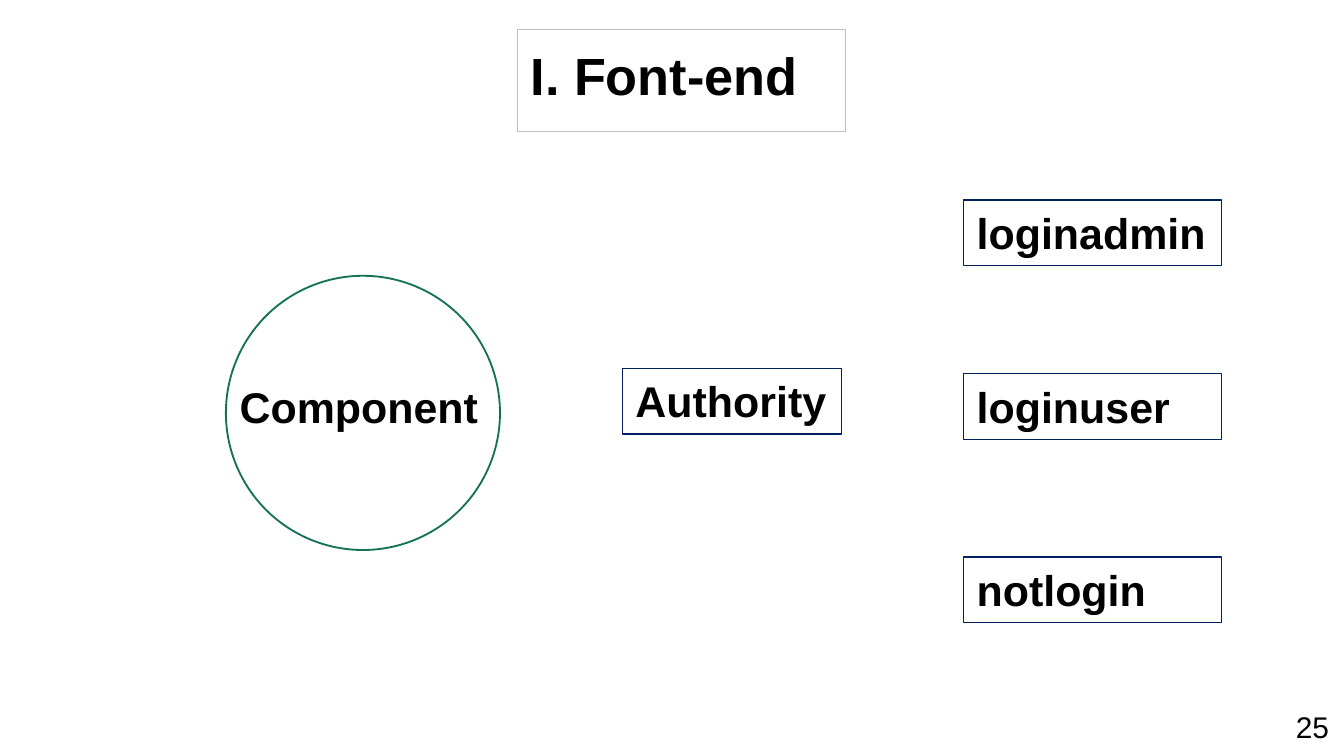
import pptx
import pptx.dml.color
import pptx.enum.shapes
import pptx.enum.text
import pptx.util

Cm = pptx.util.Cm
Pt = pptx.util.Pt
Shape = pptx.enum.shapes.MSO_SHAPE
Align = pptx.enum.text.PP_ALIGN
Anchor = pptx.enum.text.MSO_ANCHOR
AutoSize = pptx.enum.text.MSO_AUTO_SIZE

COLOURS = {"text": "000000", "navy": "002060", "green": "157259", "grey": "BFBFBF"}


def apply_format(target, values):
    for name, value in values.items():
        setattr(target, name, value)


class Designer:
    font_name = "Arial"

    def __init__(self, page):
        self.page = page

    def colour(self, name):
        return pptx.dml.color.RGBColor.from_string(COLOURS[name])

    def fill_text(self, box, text, size, bold=True, align=Align.LEFT, frame_format=None):
        frame = box.text_frame
        apply_format(frame, {
            "word_wrap": True,
            "vertical_anchor": Anchor.TOP,
            "auto_size": AutoSize.SHAPE_TO_FIT_TEXT,
            **(frame_format or {}),
        })
        para = frame.paragraphs[0]
        para.alignment = align
        span = para.add_run()
        span.text = text
        apply_format(span.font, {"name": self.font_name, "size": Pt(size), "bold": bold})
        span.font.color.rgb = self.colour("text")

    def outline(self, kind, place, colour, width=0.75):
        box = self.page.shapes.add_shape(kind, *map(Cm, place))
        box.shadow.inherit = False
        box.fill.background()
        box.line.color.rgb = self.colour(colour)
        box.line.width = Pt(width)
        return box

    def label(self, text, place, size, bold=True):
        box = self.page.shapes.add_textbox(*map(Cm, place))
        self.fill_text(box, text, size, bold, Align.CENTER)

    def node(self, text, place, wrap=True):
        box = self.outline(Shape.RECTANGLE, place, "navy")
        self.fill_text(box, text, 23, frame_format={"word_wrap": wrap})

    def title(self, text, place):
        box = self.outline(Shape.RECTANGLE, place, "grey")
        sides = ("left", "top", "right", "bottom")
        margins = {f"margin_{side}": Cm(0.25) for side in sides}
        self.fill_text(box, text, 28, frame_format={"auto_size": AutoSize.NONE, **margins})


def main():
    deck = pptx.Presentation()
    deck.slide_width, deck.slide_height = Cm(25.4), Cm(14.28)
    designer = Designer(deck.slides.add_slide(deck.slide_layouts[6]))

    designer.label("25", (24.21, 13.26, 1.19, 0.94), 16, bold=False)
    designer.node("Authority", (11.76, 6.96, 4.14, 1.24), wrap=False)
    designer.label("Component", (3.99, 7.06, 5.59, 1.24), 23)
    states = (("loginadmin", 3.78, False), ("loginuser", 7.06, True), ("notlogin", 10.52, True))
    for state, top, wrap in states:
        designer.node(state, (18.21, top, 4.88, 1.24), wrap)
    designer.outline(Shape.OVAL, (4.27, 5.21, 5.18, 5.18), "green", 1)
    designer.title("I. Font-end", (9.78, 0.56, 6.2, 1.93))

    deck.save("out.pptx")


if __name__ == "__main__":
    main()
